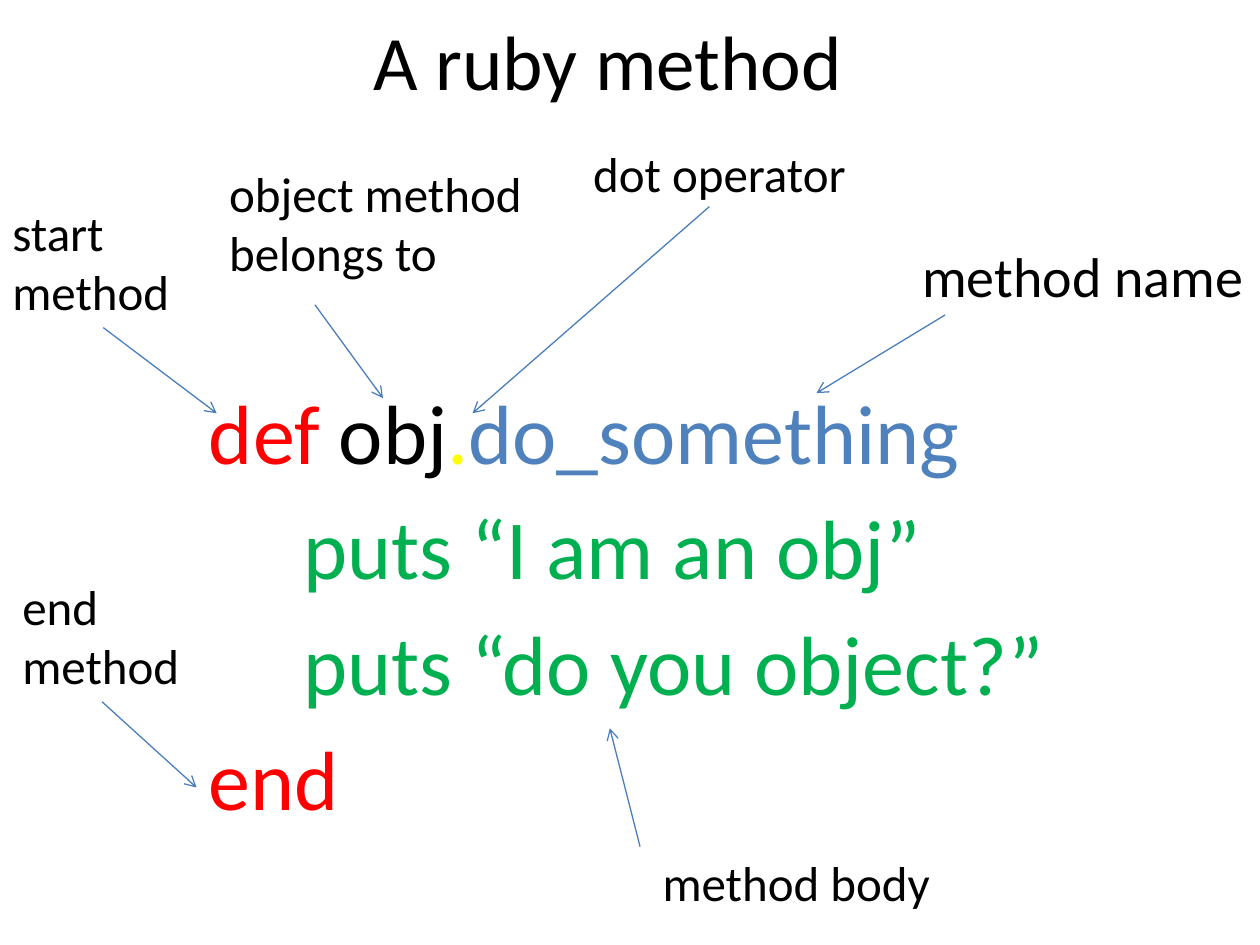
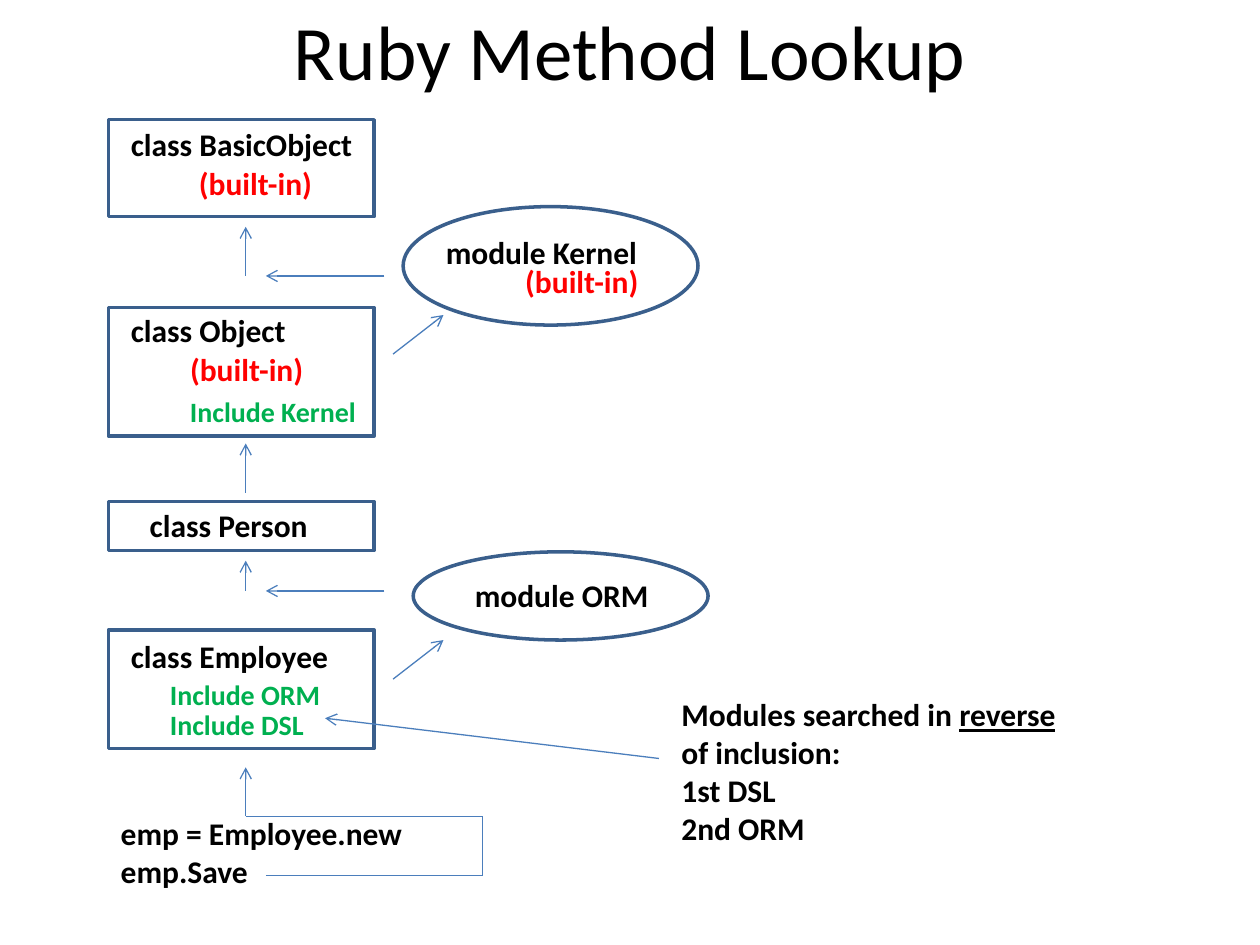
"""Build two slides on Ruby: the parts of a method, and method lookup."""
import dataclasses
import pptx
import pptx.dml.color
import pptx.enum.shapes
import pptx.enum.text
import pptx.oxml
import pptx.oxml.ns
import pptx.util

Inches = pptx.util.Inches
Pt = pptx.util.Pt
Shape = pptx.enum.shapes.MSO_SHAPE


@dataclasses.dataclass(frozen=True)
class Theme:
    font: str = "Calibri"
    text: str = "000000"
    red: str = "FF0000"
    yellow: str = "FFFF00"
    blue: str = "4F81BD"
    green: str = "00B050"
    arrow: str = "4B7EBC"
    outline: str = "3A5F8C"
    title: int = 44
    code: int = 48
    name: int = 32
    label: int = 28
    node: int = 18
    include: int = 16
    thin: float = 0.75
    thick: float = 2


def rgb(value):
    return pptx.dml.color.RGBColor.from_string(value)


class Deck:
    def __init__(self, theme):
        self.theme = theme
        self.prs = pptx.Presentation()
        self.prs.slide_width, self.prs.slide_height = Inches(10), Inches(7.5)
        self.s = None

    def run(self, p, text, size, color=None, bold=False, underline=False):
        r = p.add_run()
        r.text = text
        r.font.name, r.font.size, r.font.bold = self.theme.font, Pt(size), bold
        r.font.color.rgb = rgb(color or self.theme.text)
        if underline:
            r.font.underline = True

    def slide(self, title, at):
        self.s = self.prs.slides.add_slide(self.prs.slide_layouts[5])
        sp = self.s.shapes.title
        sp.left, sp.top, sp.width, sp.height = map(Inches, at)
        tf = sp.text_frame
        tf.vertical_anchor = pptx.enum.text.MSO_ANCHOR.MIDDLE
        p = tf.paragraphs[0]
        p.alignment = pptx.enum.text.PP_ALIGN.CENTER
        self.run(p, title, self.theme.title)

    def text(self, lines, at, size, color=None, bold=False, wrap=False):
        sp = self.s.shapes.add_textbox(*map(Inches, at))
        tf = sp.text_frame
        tf.word_wrap = wrap
        tf.auto_size = pptx.enum.text.MSO_AUTO_SIZE.SHAPE_TO_FIT_TEXT
        for i, line in enumerate(lines):
            p = tf.add_paragraph() if i else tf.paragraphs[0]
            for text, underline in [(line, False)] if isinstance(line, str) else line:
                self.run(p, text, size, color, bold, underline)
        return sp

    def code(self, lines, at):
        tf = self.s.shapes.add_textbox(*map(Inches, at)).text_frame
        tf.word_wrap = True
        for i, (indent, runs) in enumerate(lines):
            p = tf.add_paragraph() if i else tf.paragraphs[0]
            p.space_before = Pt(8.4 if i else 0)
            p._p.get_or_add_pPr().set("marL", str(Inches(indent)))
            for text, color in runs:
                self.run(p, text, self.theme.code, color)

    def node(self, kind, at):
        sp = self.s.shapes.add_shape(kind, *map(Inches, at))
        sp.shadow.inherit = False
        sp.fill.background()
        sp.line.color.rgb = rgb(self.theme.outline)
        sp.line.width = Pt(self.theme.thick)

    def line(self, start, end, head=True, source=None):
        c = self.s.shapes.add_connector(
            pptx.enum.shapes.MSO_CONNECTOR.STRAIGHT, *map(Inches, (*start, *end)))
        c.line.color.rgb = rgb(self.theme.arrow)
        c.line.width = Pt(self.theme.thin)
        if source is not None:
            c.begin_connect(source, 2)
        if head:
            tail = pptx.oxml.parse_xml(
                f'<a:tailEnd {pptx.oxml.ns.nsdecls("a")} type="arrow"/>')
            c.line._get_or_add_ln().append(tail)
        c._element.spPr.append(
            pptx.oxml.parse_xml(f'<a:effectLst {pptx.oxml.ns.nsdecls("a")}/>'))


def method_slide(d):
    t = d.theme
    d.slide("A ruby method", (1.56, 0, 6.53, 0.95))
    d.code([
        (0, [("def", t.red), (" obj", t.text), (".", t.yellow), ("do_something", t.blue)]),
        (0.75, [("puts “I am an obj”", t.green)]),
        (0.75, [("puts “do you object?”", t.green)]),
        (0, [("end", t.red)]),
    ], (1.56, 2.97, 7.58, 2.55))
    start = d.text(["start", "method"], (0, 1.56, 1.64, 1.04), t.label, wrap=True)
    end = d.text(["end", "method"], (0.08, 4.53, 1.46, 1.04), t.label)
    for lines, at, size in [
        (["object method", "belongs to"], (1.72, 1.25, 2.64, 1.04), t.label),
        (["dot operator"], (4.61, 1.09, 2.23, 0.57), t.label),
        (["method name"], (7.22, 1.87, 2.78, 0.64), t.name),
        (["method body"], (5.16, 6.72, 2.35, 0.57), t.label),
    ]:
        d.text(lines, at, size)
    for tail, tip, source in [
        ((0.82, 2.6), (1.72, 3.28), start),
        ((0.81, 5.57), (1.56, 6.25), end),
        ((2.5, 2.42), (3.04, 3.16), None),
        ((5.63, 1.64), (3.75, 3.28), None),
        ((7.5, 2.5), (6.48, 3.12), None),
        ((5.08, 6.72), (4.84, 5.78), None),
    ]:
        d.line(tail, tip, source=source)


def lookup_slide(d):
    t = d.theme
    d.slide("Ruby Method Lookup", (0.5, -0.23, 9, 1.25))
    for top, height in [(0.95, 0.77), (2.44, 1.02), (3.98, 0.39), (5, 0.94)]:
        d.node(Shape.RECTANGLE, (0.86, top, 2.11, height))
    for left, top, height in [(3.2, 1.64, 0.94), (3.28, 4.38, 0.7)]:
        d.node(Shape.OVAL, (left, top, 2.34, height))
    for name, left, top, width in [
        ("class BasicObject", 0.94, 0.94, 1.97),
        ("class Object", 0.94, 2.42, 1.44),
        ("class Person", 1.09, 3.97, 1.46),
        ("class Employee", 0.94, 5.01, 1.78),
        ("module Kernel", 3.44, 1.8, 1.73),
        ("module ORM", 3.67, 4.52, 1.59),
    ]:
        d.text([name], (left, top, width, 0.4), t.node, bold=True)
    for left, top in [(1.48, 1.25), (4.07, 2.03), (1.41, 2.73)]:
        d.text(["(built-in)"], (left, top, 1.11, 0.4), t.node, t.red, True)
    for module, left, top, width in [
        ("Kernel", 1.41, 3.08, 1.54), ("ORM", 1.25, 5.33, 1.41), ("DSL", 1.25, 5.57, 1.28),
    ]:
        d.text([f"Include {module}"], (left, top, width, 0.37), t.include, t.green, True)
    d.text(["emp = Employee.new", "emp.Save"], (0.86, 6.41, 2.45, 0.71), t.node, bold=True)
    d.text([[("Modules searched in ", False), ("reverse", True), (" of inclusion:", False)],
            "1st DSL", "2nd ORM"], (5.31, 5.47, 3.36, 1.31), t.node, bold=True, wrap=True)

    for bottom, top in [(2.19, 1.8), (3.91, 3.52), (4.69, 4.45)]:
        d.line((1.95, bottom), (1.95, top))
    for y in (2.19, 4.69):
        d.line((3.05, y), (2.11, y))
    for y in (2.81, 5.39):
        d.line((3.12, y), (3.52, y - 0.31))
    call = [(2.11, 6.95), (3.83, 6.95), (3.83, 6.48), (1.95, 6.48), (1.95, 6.09)]
    for a, b in zip(call, call[1:]):
        d.line(a, b, head=b == call[-1])
    d.line((5.23, 6.02), (2.58, 5.7))


def main():
    d = Deck(Theme())
    method_slide(d)
    lookup_slide(d)
    d.prs.save("out.pptx")


if __name__ == "__main__":
    main()
